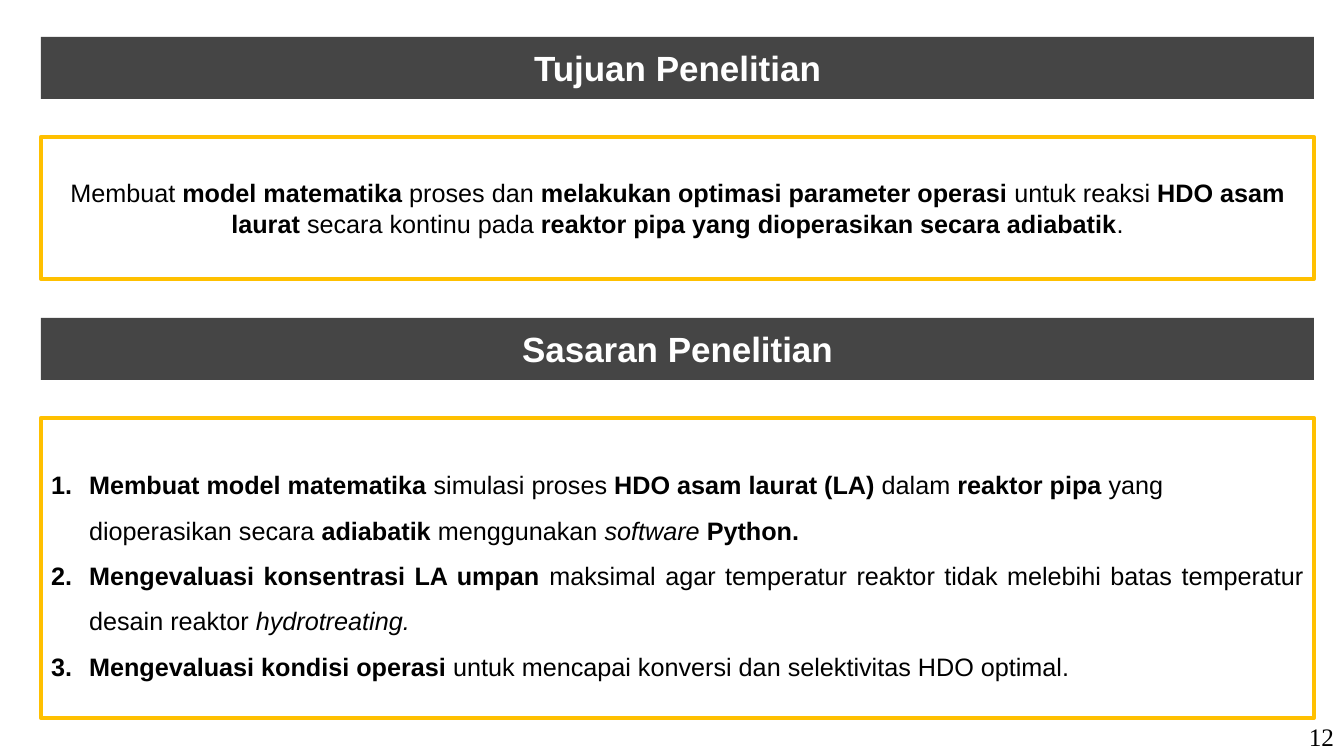
from lxml import etree
from pptx import Presentation
from pptx.dml.color import RGBColor
from pptx.enum import shapes, text
from pptx.oxml import ns

PX = 914400 / 100.8
PT = 12700
COLORS = {"band": "454545", "frame": "FFC000", "ink": "000000", "paper": "FFFFFF"}
LEFT, WIDTH, BAND_HEIGHT, INDENT = 41, 1273, 62, 38


def place(panel, top, height, left=LEFT, width=WIDTH):
    panel.left, panel.top = round(left * PX), round(top * PX)
    panel.width, panel.height = round(width * PX), round(height * PX)
    panel.text_frame.word_wrap = True
    panel.text_frame.auto_size = text.MSO_AUTO_SIZE.NONE
    panel.text_frame.vertical_anchor = text.MSO_ANCHOR.MIDDLE


def write(paragraph, pieces, align, size=18, color="ink", face="Arial"):
    paragraph.alignment = align
    paragraph.space_before = 0
    for words, style in pieces:
        run = paragraph.add_run()
        run.text = words
        run.font.name = face
        run.font.size = size * PT
        run.font.bold = style == "b"
        run.font.italic = style == "i"
        run.font.color.rgb = RGBColor.from_string(COLORS[color])


deck = Presentation()
deck.slide_width, deck.slide_height = round(1344 * PX), round(756 * PX)
slide = deck.slides.add_slide(deck.slide_layouts[1])
aim_heading, targets = slide.placeholders
target_heading, aim = [
    slide.shapes.add_shape(shapes.MSO_SHAPE.RECTANGLE, 0, 0, 0, 0) for _ in range(2)
]
for panel in (target_heading, aim):
    panel.shadow.inherit = False

for heading, words, top in (
    (aim_heading, "Tujuan Penelitian", 37),
    (target_heading, "Sasaran Penelitian", 318),
):
    place(heading, top, BAND_HEIGHT)
    heading.fill.solid()
    heading.fill.fore_color.rgb = RGBColor.from_string(COLORS["band"])
    heading.line.fill.background()
    write(heading.text_frame.paragraphs[0], [(words, "b")], text.PP_ALIGN.CENTER, 25, "paper")

for framed, top, height in ((aim, 137, 142), (targets, 418, 300)):
    place(framed, top, height)
    framed.fill.background()
    framed.line.color.rgb = RGBColor.from_string(COLORS["frame"])
    framed.line.width = 3 * PT

write(aim.text_frame.paragraphs[0], [
    ("Membuat ", ""),
    ("model matematika", "b"),
    (" proses dan ", ""),
    ("melakukan optimasi parameter operasi ", "b"),
    ("untuk reaksi ", ""),
    ("HDO asam laurat ", "b"),
    ("secara kontinu pada ", ""),
    ("reaktor pipa yang dioperasikan secara adiabatik", "b"),
    (".", ""),
], text.PP_ALIGN.CENTER)

target_items = [
    (text.PP_ALIGN.LEFT, [
        ("Membuat model matematika ", "b"),
        ("simulasi proses ", ""),
        ("HDO asam laurat (LA) ", "b"),
        ("dalam ", ""),
        ("reaktor pipa ", "b"),
        ("yang dioperasikan secara ", ""),
        ("adiabatik ", "b"),
        ("menggunakan ", ""),
        ("software ", "i"),
        ("Python.", "b"),
    ]),
    (text.PP_ALIGN.JUSTIFY, [
        ("Mengevaluasi konsentrasi LA umpan ", "b"),
        ("maksimal agar temperatur reaktor tidak melebihi batas temperatur desain reaktor ", ""),
        ("hydrotreating.", "i"),
    ]),
    (text.PP_ALIGN.LEFT, [
        ("Mengevaluasi kondisi operasi ", "b"),
        ("untuk mencapai konversi dan selektivitas HDO optimal.", ""),
    ]),
]
for position, (align, pieces) in enumerate(target_items):
    frame = targets.text_frame
    item = frame.add_paragraph() if position else frame.paragraphs[0]
    properties = item._p.get_or_add_pPr()
    properties.set("marL", str(round(INDENT * PX)))
    properties.set("indent", str(round(-INDENT * PX)))
    etree.SubElement(properties, ns.qn("a:buFont"), typeface="+mj-lt")
    etree.SubElement(properties, ns.qn("a:buAutoNum"), type="arabicPeriod")
    item.line_spacing = 1.5
    write(item, pieces, align)

page_number = slide.shapes.add_textbox(0, 0, 0, 0)
place(page_number, 716, 40, 1272, 72)
write(page_number.text_frame.paragraphs[0], [("12", "")], text.PP_ALIGN.RIGHT, face="Times New Roman")

deck.save("out.pptx")
